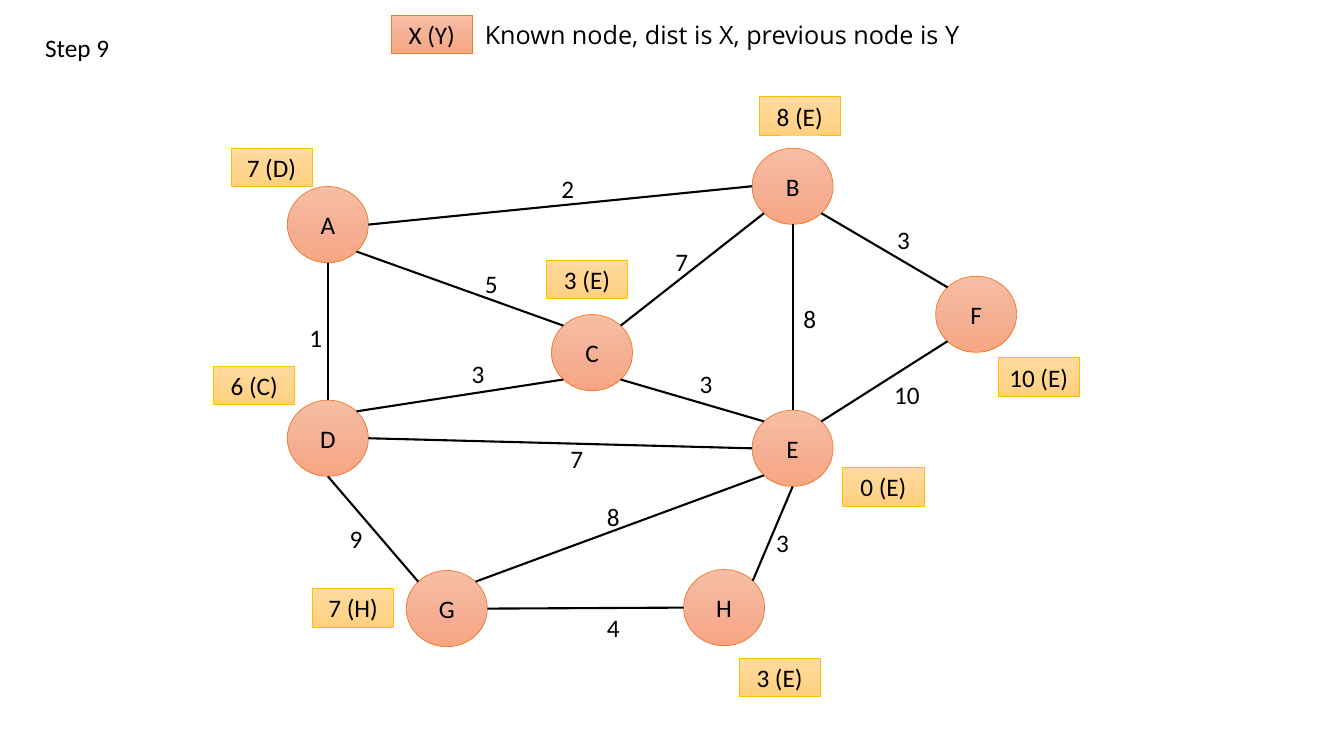
from copy import deepcopy
from math import cos, radians, sin

from lxml import etree
from pptx import Presentation
from pptx import util as u
from pptx.dml.color import RGBColor
from pptx.enum import shapes, text
from pptx.oxml.ns import qn

COLORS = {"text": "000000", "edge": "000000"}
KNOWN = {"stops": ["F7BDA5", "F5B196", "F8A582"], "line": "ED7D31"}
DISTANCE = {"stops": ["FFDB9E", "FFD590", "FFD07C"], "line": "FFC000"}

CELL = u.Inches(0.1)  # side of one grid square
NODE_W, NODE_H = 8.04, 7.56
TAG_W, TAG_H = 8.04, 3.8
TEXT_H = 4.04

deck = Presentation()
deck.slide_width, deck.slide_height = u.Inches(13.33), u.Inches(7.5)
slide = deck.slides.add_slide(deck.slide_layouts[6])


def add_label(column, row, width, words, font="Calibri", wrap=False):
    box = slide.shapes.add_textbox(*[int(n * CELL) for n in (column, row, width, TEXT_H)])
    frame = box.text_frame
    frame.word_wrap = wrap
    frame.auto_size = text.MSO_AUTO_SIZE.SHAPE_TO_FIT_TEXT
    paragraph = frame.paragraphs[0]
    paragraph.text = words
    paragraph.font.size, paragraph.font.name = u.Pt(18), font
    paragraph.font.color.rgb = RGBColor.from_string(COLORS["text"])


def add_badge(preset, column, row, width, height, words, palette):
    """Draw a node or a tag: centred text on a three-stop vertical gradient."""
    badge = slide.shapes.add_shape(preset, *[int(n * CELL) for n in (column, row, width, height)])
    badge.shadow.inherit = False
    badge.fill.gradient()
    badge.fill.gradient_angle = 270
    stop_list = badge.element.find(".//" + qn("a:gsLst"))
    stop_list.append(deepcopy(stop_list[-1]))
    for stop, position, color in zip(badge.fill.gradient_stops, (0, 0.5, 1), palette["stops"]):
        stop.position = position
        stop.color.rgb = RGBColor.from_string(color)
    badge.line.color.rgb = RGBColor.from_string(palette["line"])
    badge.line.width = u.Pt(0.5)
    badge.text_frame.vertical_anchor = text.MSO_ANCHOR.MIDDLE
    paragraph = badge.text_frame.paragraphs[0]
    paragraph.text = words
    paragraph.alignment = text.PP_ALIGN.CENTER
    paragraph.font.size, paragraph.font.name = u.Pt(18), "Calibri"
    paragraph.font.color.rgb = RGBColor.from_string(COLORS["text"])


# Node: column, row, then its distance tag: words, column, row
nodes = {
    "A": (28.5, 18.5, "7 (D)", 22.9, 14.7),
    "B": (74.6, 14.7, "8 (E)", 75.3, 9.6),
    "C": (54.7, 31.2, "3 (E)", 54.2, 25.8),
    "D": (28.5, 39.7, "6 (C)", 21.2, 36.3),
    "G": (40.3, 56.6, "7 (H)", 31, 58.4),
    "F": (92.8, 27.4, "10 (E)", 99, 35.5),
    "H": (67.8, 56.5, "3 (E)", 73.3, 65.3),
    "E": (74.6, 40.7, "0 (E)", 83.6, 46.4),
}
# Edge: both nodes with the compass point where it leaves, weight, weight's column and row
edges = [
    ("A", "E", "B", "W", 2, 54.7, 16.7),
    ("A", "S", "D", "N", 1, 29.7, 31.5),
    ("D", "S", "G", "NW", 9, 33.7, 51.4),
    ("A", "SE", "C", "NW", 5, 47.1, 26.1),
    ("C", "NE", "B", "SW", 7, 66, 23.9),
    ("B", "S", "E", "N", 8, 78.7, 29.6),
    ("B", "SE", "F", "NW", 3, 88, 21.8),
    ("F", "SW", "E", "NE", 10, 87.7, 37.1),
    ("D", "NE", "C", "SW", 3, 45.8, 35.1),
    ("D", "E", "E", "W", 7, 55.6, 43.5),
    ("C", "SE", "E", "NW", 3, 68.4, 36),
    ("G", "NE", "E", "SW", 8, 59.2, 49.2),
    ("G", "E", "H", "W", 4, 59.2, 60.3),
    ("E", "S", "H", "NE", 3, 76, 51.8),
]
compass = ["E", "SE", "S", "SW", "W", "NW", "N", "NE"]

for name, (column, row, *_) in nodes.items():
    add_badge(shapes.MSO_SHAPE.OVAL, column, row, NODE_W, NODE_H, name, KNOWN)

for start, start_side, end, end_side, weight, column, row in edges:
    ends = []
    for node, side in ((start, start_side), (end, end_side)):
        angle = radians(45 * compass.index(side))
        ends.append(int((nodes[node][0] + NODE_W / 2 * (1 + cos(angle))) * CELL))
        ends.append(int((nodes[node][1] + NODE_H / 2 * (1 + sin(angle))) * CELL))
    edge = slide.shapes.add_connector(shapes.MSO_CONNECTOR.STRAIGHT, *ends)
    edge.line.color.rgb = RGBColor.from_string(COLORS["edge"])
    edge.line.width = u.Pt(1.5)
    etree.SubElement(edge.element.spPr, qn("a:effectLst"))
    add_label(column, row, 2 + 1.27 * len(str(weight)), str(weight))

for _, _, distance, column, row in nodes.values():
    add_badge(shapes.MSO_SHAPE.RECTANGLE, column, row, TAG_W, TAG_H, distance, DISTANCE)

add_badge(shapes.MSO_SHAPE.RECTANGLE, 38.8, 1.5, TAG_W, TAG_H, "X (Y)", KNOWN)
add_label(47.1, 1.4, 52.8, "Known node, dist is X, previous node is Y", font="Open Sans")
add_label(3.5, 2.7, 10.3, "Step 9", wrap=True)

deck.save("out.pptx")
